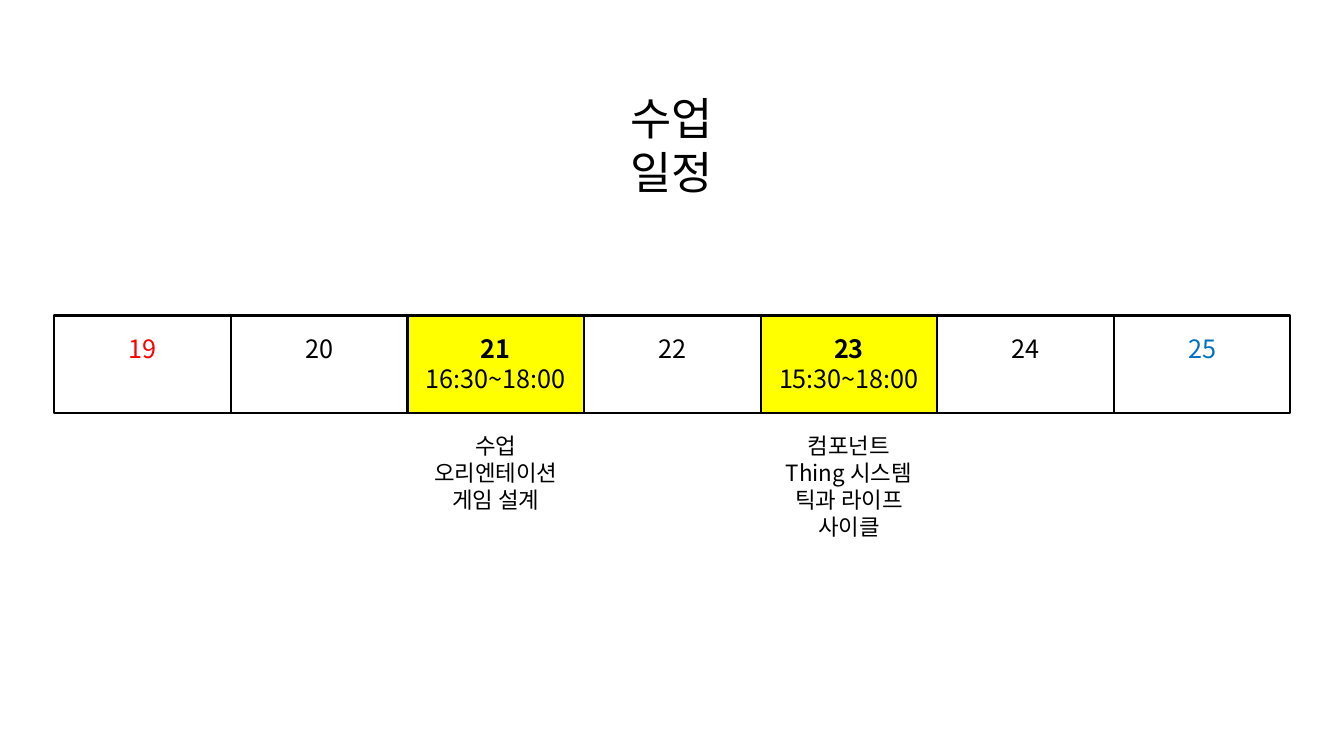
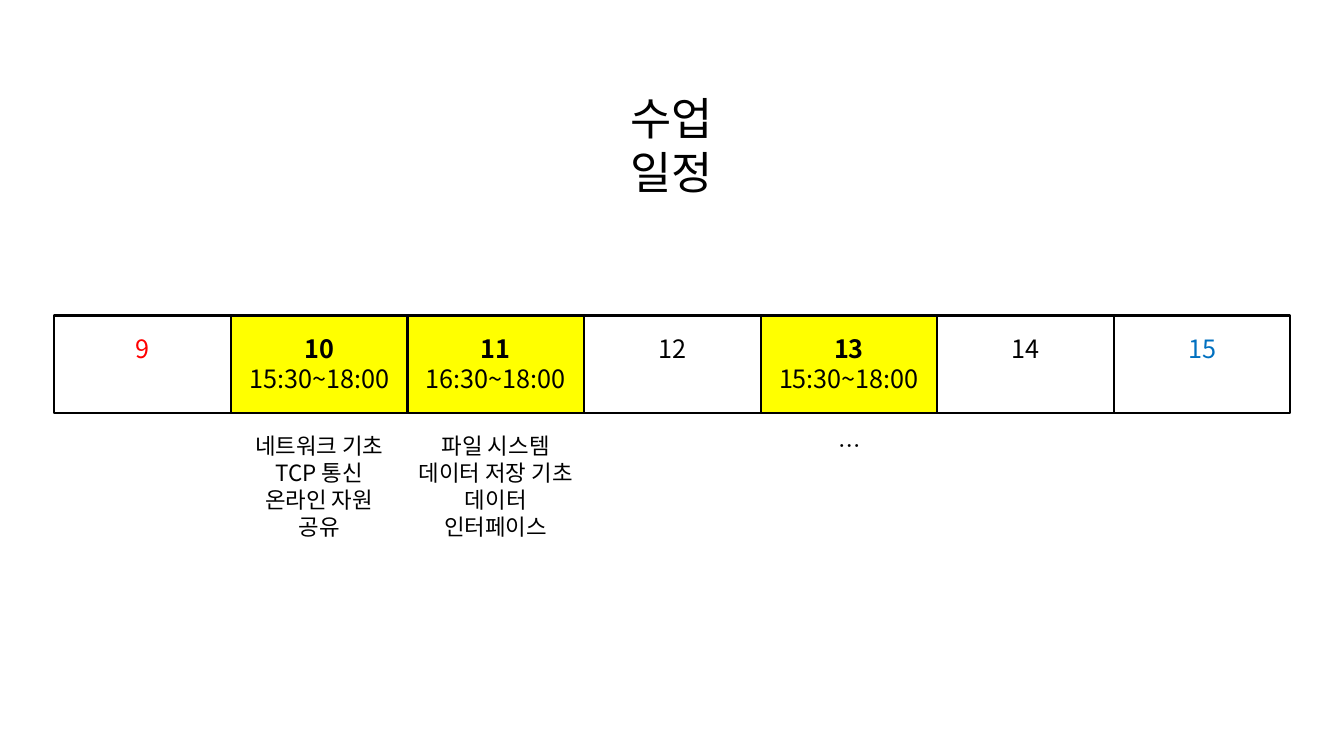
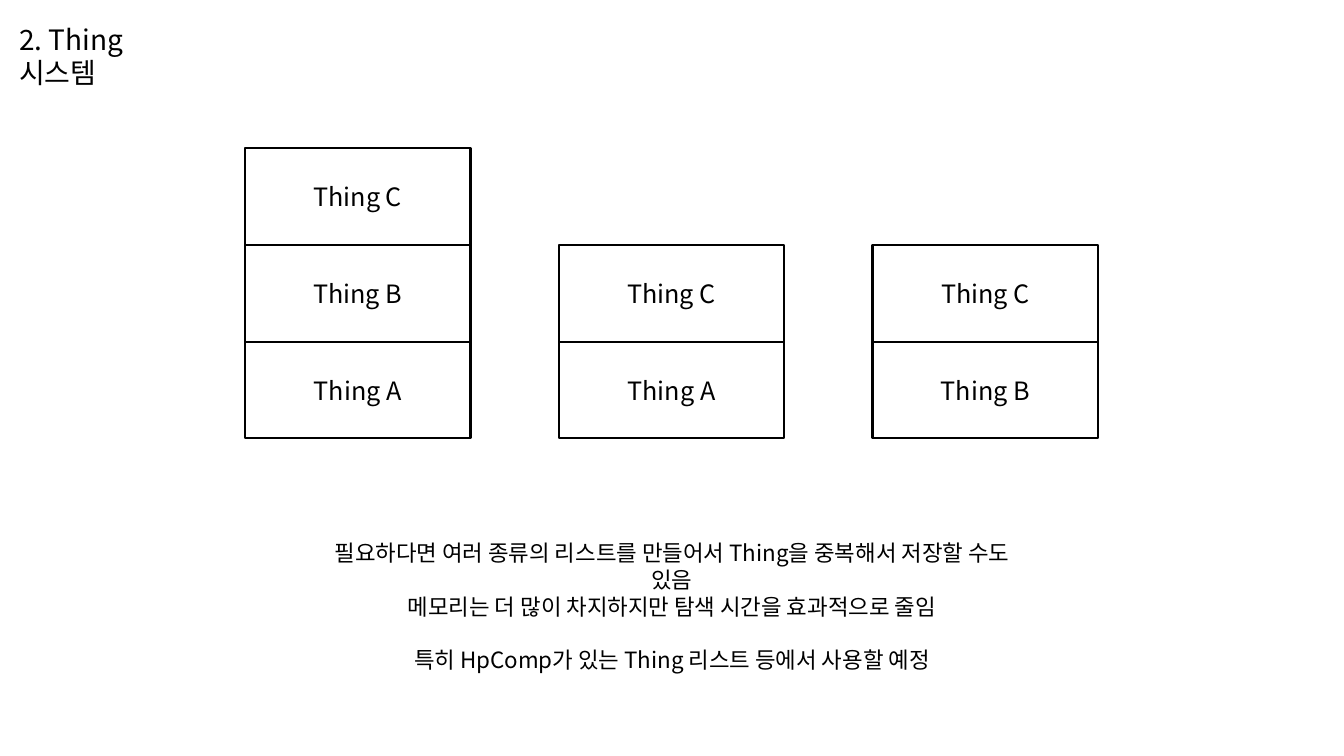
from lxml import etree
from pptx import Presentation
from pptx.dml.color import RGBColor
from pptx.enum.shapes import MSO_SHAPE
from pptx.enum.text import MSO_ANCHOR, MSO_AUTO_SIZE, PP_ALIGN
from pptx.oxml.ns import qn
from pptx.util import Cm, Pt

RECTANGLE = MSO_SHAPE.RECTANGLE
TOP, MIDDLE = MSO_ANCHOR.TOP, MSO_ANCHOR.MIDDLE
LEFT, CENTER = PP_ALIGN.LEFT, PP_ALIGN.CENTER
GROW = MSO_AUTO_SIZE.SHAPE_TO_FIT_TEXT

FONT = "Noto Sans CJK KR"
BLACK, WHITE, YELLOW = "000000", "FFFFFF", "FFFF00"
SUNDAY, SATURDAY = "FF0000", "0070C0"
SLIDE_WIDTH, SLIDE_HEIGHT = 33.87, 19.05

SCHEDULE_TITLE = "수업 일정"
WEEKS = [
    {
        "first_date": 19,
        "lessons": {
            2: ("16:30~18:00", 4.68, ["수업 오리엔테이션", "게임 설계"]),
            4: ("15:30~18:00", 4.8, ["컴포넌트", "Thing 시스템", "틱과 라이프 사이클"]),
        },
    },
    {
        "first_date": 9,
        "lessons": {
            1: ("15:30~18:00", 4.3, ["네트워크 기초", "TCP 통신", "온라인 자원 공유"]),
            2: ("16:30~18:00", 4.68, ["파일 시스템", "데이터 저장 기초", "데이터 인터페이스"]),
            4: ("15:30~18:00", 1.04, ["…"]),
        },
    },
]
DAY_LEFT, DAY_TOP, DAY_WIDTH, DAY_HEIGHT = 1.37, 7.95, 4.45, 2.46
TOPIC_TOP = 10.77

THING_TITLE = "2. Thing 시스템"
THING_LISTS = [
    ["Thing A", "Thing B", "Thing C"],
    ["Thing A", "Thing C"],
    ["Thing B", "Thing C"],
]
LIST_LEFT, LIST_BOTTOM, LIST_STEP = 6.17, 11.05, 7.91
THING_WIDTH, THING_HEIGHT = 5.69, 2.44
NOTES = [
    "필요하다면 여러 종류의 리스트를 만들어서 Thing을 중복해서 저장할 수도 있음",
    "메모리는 더 많이 차지하지만 탐색 시간을 효과적으로 줄임",
    "특히 HpComp가 있는 Thing 리스트 등에서 사용할 예정",
]
NOTE_TOP, NOTE_WIDTH, NOTE_GAP = 13.46, 18.6, 19


def rgb(value):
    return RGBColor.from_string(value)


def write(frame, lines, size, color=BLACK, align=CENTER, anchor=TOP, bold_first=False):
    frame.word_wrap = True
    frame.vertical_anchor = anchor
    for index, line in enumerate(lines):
        paragraph = frame.paragraphs[0] if index == 0 else frame.add_paragraph()
        paragraph.alignment = align
        run = paragraph.add_run()
        run.text = line
        run.font.size = Pt(size)
        run.font.bold = bold_first and index == 0
        run.font.name = FONT
        run.font.color.rgb = rgb(color)
        east_asian = etree.SubElement(run.font._element, qn("a:ea"))
        east_asian.set("typeface", FONT)


def add_title(slide, text, left, top, width, height, size, align):
    title = slide.shapes.title
    title.left, title.top = Cm(left), Cm(top)
    title.width, title.height = Cm(width), Cm(height)
    write(title.text_frame, [text], size, align=align)
    title.text_frame.auto_size = GROW


def add_text(slide, lines, center, top, width):
    box = slide.shapes.add_textbox(
        Cm(center - width / 2), Cm(top), Cm(width), Cm(0.25 + 0.68 * len(lines))
    )
    write(box.text_frame, lines, 16)
    box.text_frame.auto_size = GROW
    return box


def add_box(shapes, left, top, width, height, fill=WHITE):
    box = shapes.add_shape(RECTANGLE, Cm(left), Cm(top), Cm(width), Cm(height))
    box.shadow.inherit = False
    box.fill.solid()
    box.fill.fore_color.rgb = rgb(fill)
    box.line.color.rgb = rgb(BLACK)
    box.line.width = Pt(1.5)
    return box


def build_week(slide, first_date, lessons):
    add_title(slide, SCHEDULE_TITLE, SLIDE_WIDTH / 2 - 2.35, 2.16, 4.7, 1.63, 32, CENTER)
    for day in range(7):
        left = DAY_LEFT + day * DAY_WIDTH
        lines, fill = [str(first_date + day)], WHITE
        if day in lessons:
            time, topic_width, topics = lessons[day]
            lines.append(time)
            fill = YELLOW
            add_text(slide, topics, left + DAY_WIDTH / 2, TOPIC_TOP, topic_width)
        color = {0: SUNDAY, 6: SATURDAY}.get(day, BLACK)
        box = add_box(slide.shapes, left, DAY_TOP, DAY_WIDTH, DAY_HEIGHT, fill)
        box.text_frame.margin_top = Cm(0.44)
        write(box.text_frame, lines, 18, color, bold_first=day in lessons)


def build_thing_lists(slide):
    add_title(slide, THING_TITLE, 0.23, 0.43, 4.5, 1.12, 20, LEFT)
    for column, things in enumerate(THING_LISTS):
        stack = slide.shapes.add_group_shape()
        for level, thing in enumerate(things, 1):
            box = add_box(
                stack.shapes,
                LIST_LEFT + column * LIST_STEP,
                LIST_BOTTOM - level * THING_HEIGHT,
                THING_WIDTH,
                THING_HEIGHT,
            )
            write(box.text_frame, [thing], 18, anchor=MIDDLE)
    notes = add_text(slide, NOTES, SLIDE_WIDTH / 2, NOTE_TOP, NOTE_WIDTH)
    notes.text_frame.paragraphs[-1].space_before = Pt(NOTE_GAP)


def main():
    presentation = Presentation()
    presentation.slide_width = Cm(SLIDE_WIDTH)
    presentation.slide_height = Cm(SLIDE_HEIGHT)
    title_only = presentation.slide_layouts[5]
    for week in WEEKS:
        build_week(presentation.slides.add_slide(title_only), **week)
    build_thing_lists(presentation.slides.add_slide(title_only))
    presentation.save("out.pptx")


if __name__ == "__main__":
    main()
